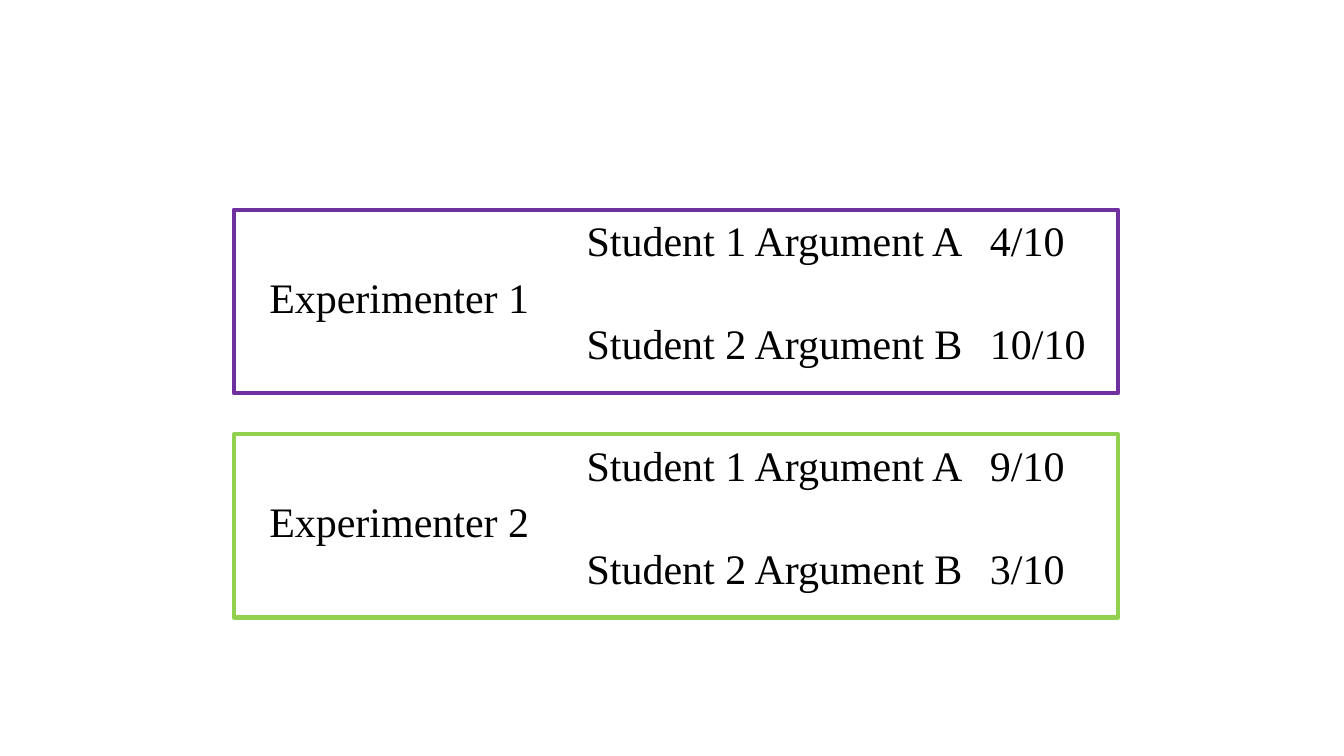
from dataclasses import dataclass

from lxml import etree
from pptx import Presentation
from pptx import util as u
from pptx.dml.color import RGBColor
from pptx.enum import shapes, text
from pptx.oxml import ns


@dataclass(frozen=True)
class Theme:
    font: str = "Times New Roman"
    size: float = 30
    ink: str = "000000"
    purple: str = "7030A0"
    green: str = "92D050"
    border: float = 3
    leading: float = 0.9
    row_gap: float = 41
    score_tab: float = 4


class Board:
    def __init__(self, prs, theme):
        self.prs, self.theme = prs, theme
        self.s = prs.slides.add_slide(prs.slide_layouts[6])

    def place(self, left, top, width, height):
        w, h = self.prs.slide_width, self.prs.slide_height
        return [int(share * side / 100)
                for share, side in zip((left, top, width, height), (w, h, w, h))]

    def frame(self, box, color):
        sp = self.s.shapes.add_shape(shapes.MSO_SHAPE.RECTANGLE, *self.place(*box))
        sp.shadow.inherit = False
        sp.fill.background()
        sp.line.color.rgb = RGBColor.from_string(color)
        sp.line.width = u.Pt(self.theme.border)

    def label(self, box, lines, align=text.PP_ALIGN.LEFT):
        t = self.theme
        tf = self.s.shapes.add_textbox(*self.place(*box)).text_frame
        tf.word_wrap = True
        for i, line in enumerate(lines):
            p = tf.add_paragraph() if i else tf.paragraphs[0]
            p.alignment = align
            p.line_spacing = t.leading
            p.space_before = u.Pt(t.row_gap if i else 0)
            if "\t" in line:
                self.tab_stop(p)
            r = p.add_run()
            r.text = line
            r.font.name, r.font.size = t.font, u.Pt(t.size)
            r.font.color.rgb = RGBColor.from_string(t.ink)

    def tab_stop(self, p):
        stops = etree.SubElement(p._p.get_or_add_pPr(), ns.qn("a:tabLst"))
        etree.SubElement(stops, ns.qn("a:tab"), algn="l",
                         pos=str(u.Inches(self.theme.score_tab)))


def main():
    prs = Presentation()
    prs.slide_width, prs.slide_height = u.Inches(13.33), u.Inches(7.5)
    theme = Theme()
    board = Board(prs, theme)
    panels = [
        ("Experimenter 1", theme.purple, ("4/10", "10/10")),
        ("Experimenter 2", theme.green, ("9/10", "3/10")),
    ]
    panel_top, panel_pitch = 27.73, 29.7
    for i, (experimenter, color, scores) in enumerate(panels):
        top = panel_top + i * panel_pitch
        rows = [f"Student {n} Argument {letter}\t{score}"
                for n, (letter, score) in enumerate(zip("AB", scores), 1)]
        board.label((42.91, top + 0.8, 39.76, 23.07), rows)
        board.label((18.08, top + 8.27, 23.26, 8.27), [experimenter],
                    text.PP_ALIGN.CENTER)
        board.frame((17.4, top, 65.79, 24.27), color)
    prs.save("out.pptx")


if __name__ == "__main__":
    main()
